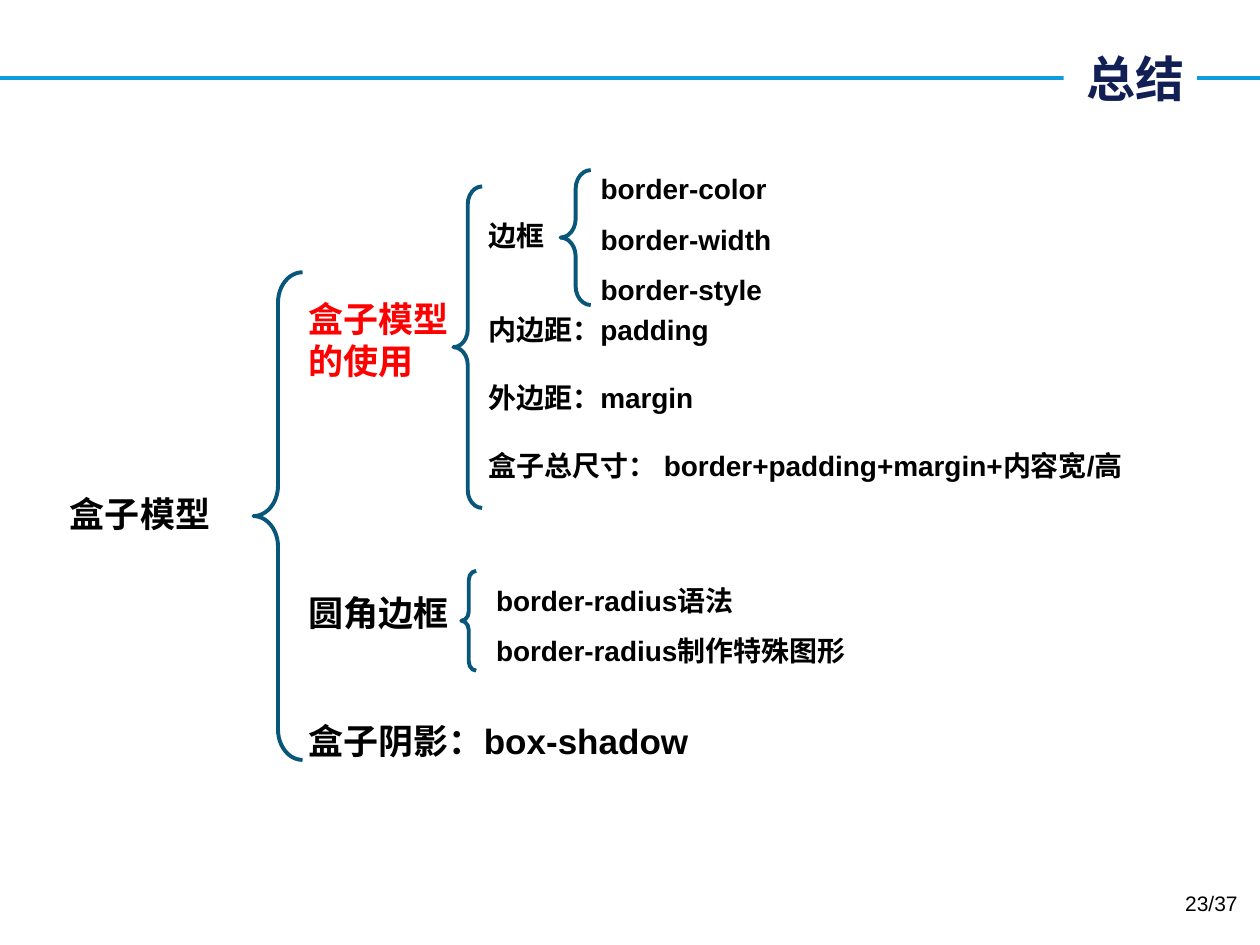
import dataclasses

import pptx
import pptx.dml.color
import pptx.enum.shapes
import pptx.enum.text
import pptx.oxml.ns
import pptx.util
from lxml import etree

Cm = pptx.util.Cm
Pt = pptx.util.Pt
RGBColor = pptx.dml.color.RGBColor
ALIGN = pptx.enum.text.PP_ALIGN

NAVY = RGBColor(0x12, 0x1F, 0x55)
SKY = RGBColor(0x0E, 0x9C, 0xDE)
TEAL = RGBColor(0x08, 0x57, 0x7A)
RED = RGBColor(0xFF, 0x00, 0x00)
BLACK = RGBColor(0x00, 0x00, 0x00)
WHITE = RGBColor(0xFF, 0xFF, 0xFF)

LATIN_FONT = "Arial"
TITLE_FONT = "Noto Sans CJK SC"
LINE_WIDTH = Pt(2.25)
BRACE_CURVE = 0.62


@dataclasses.dataclass(frozen=True)
class Box:
    """Position and size in centimetres."""
    left: float
    top: float
    width: float
    height: float


@dataclasses.dataclass(frozen=True)
class Entry:
    """One paragraph, with the space before it in points."""
    text: str
    gap: float = 0
    color: RGBColor = BLACK


@dataclasses.dataclass(frozen=True)
class Branch:
    """A block of entries on one level of the outline."""
    box: Box
    size: float
    entries: tuple[Entry, ...]
    spacing: float = 1.0
    align: ALIGN = ALIGN.LEFT
    bold: bool = True


BRACES = (
    Box(5.11, 5.49, 0.99, 9.83),
    Box(9.14, 3.76, 0.58, 6.48),
    Box(11.3, 3.43, 0.61, 2.72),
    Box(9.3, 11.51, 0.3, 2.01),
)

BRANCHES = (
    Branch(Box(0.3, 9.8, 5.05, 1.12), 20, (Entry("盒子模型"),), align=ALIGN.CENTER),
    Branch(Box(5.97, 5.87, 13.92, 9.65), 20, (
        Entry("盒子模型", color=RED),
        Entry("的使用", color=RED),
        Entry("圆角边框", gap=120),
        Entry("盒子阴影：box-shadow", gap=49),
    )),
    Branch(Box(9.6, 4.29, 13.9, 6.4), 16, (
        Entry("边框"),
        Entry("内边距：padding", gap=34.5),
        Entry("外边距：margin", gap=19.5),
        Entry("盒子总尺寸： border+padding+margin+内容宽/高", gap=19.5),
    )),
    Branch(Box(11.86, 3, 5.64, 3.33), 16, (
        Entry("border-color"),
        Entry("border-width"),
        Entry("border-style"),
    ), spacing=1.5),
    Branch(Box(9.75, 11.3, 8.15, 2.18), 16, (
        Entry("border-radius语法"),
        Entry("border-radius制作特殊图形"),
    ), spacing=1.5),
    Branch(Box(19.28, 17.83, 5.92, 1.02), 12, (Entry("23/37"),),
           align=ALIGN.RIGHT, bold=False),
)


def lengths(box: Box) -> tuple[int, ...]:
    """Return left, top, width and height as slide lengths."""
    return tuple(Cm(value) for value in dataclasses.astuple(box))


def format_runs(paragraph, face: str, size: float, color: RGBColor, bold: bool) -> None:
    """Format every run, with one face for Latin and East Asian text."""
    for run in paragraph.runs:
        run.font.name = face
        run.font.size = Pt(size)
        run.font.bold = bold
        run.font.color.rgb = color
        east_asian = etree.SubElement(run.font._element, pptx.oxml.ns.qn("a:ea"))
        east_asian.set("typeface", face)


def add_title(slide, text: str) -> None:
    """Place the title on a white patch over the header rule."""
    title = slide.shapes.title
    title.left, title.top, title.width, title.height = lengths(Box(21.44, 0.76, 2.69, 1.63))
    title.fill.solid()
    title.fill.fore_color.rgb = WHITE
    frame = title.text_frame
    frame.text = text
    frame.word_wrap = True
    frame.auto_size = pptx.enum.text.MSO_AUTO_SIZE.NONE
    frame.vertical_anchor = pptx.enum.text.MSO_ANCHOR.MIDDLE
    frame.paragraphs[0].alignment = ALIGN.RIGHT
    format_runs(frame.paragraphs[0], TITLE_FONT, 28, NAVY, True)


def add_header_rule(slide) -> None:
    """Draw the full-width rule behind the title."""
    rule = slide.shapes.add_connector(
        pptx.enum.shapes.MSO_CONNECTOR.STRAIGHT, Cm(0), Cm(1.58), Cm(25.4), Cm(1.58))
    rule.line.color.rgb = SKY
    rule.line.width = LINE_WIDTH
    etree.SubElement(rule.element.spPr, pptx.oxml.ns.qn("a:effectLst"))
    slide.shapes.title.element.addprevious(rule.element)


def add_brace(slide, box: Box) -> None:
    """Draw an unfilled left brace."""
    brace = slide.shapes.add_shape(pptx.enum.shapes.MSO_SHAPE.LEFT_BRACE, *lengths(box))
    brace.adjustments[0] = BRACE_CURVE
    brace.fill.background()
    brace.line.color.rgb = TEAL
    brace.line.width = LINE_WIDTH
    brace.shadow.inherit = False


def add_branch(slide, branch: Branch) -> None:
    """Write the entries of a branch in one text box."""
    frame = slide.shapes.add_textbox(*lengths(branch.box)).text_frame
    frame.word_wrap = True
    frame.text = "\n".join(entry.text for entry in branch.entries)
    for paragraph, entry in zip(frame.paragraphs, branch.entries):
        paragraph.alignment = branch.align
        paragraph.line_spacing = branch.spacing
        paragraph.space_before = Pt(entry.gap)
        format_runs(paragraph, LATIN_FONT, branch.size, entry.color, branch.bold)


def main() -> None:
    """Build the summary slide."""
    deck = pptx.Presentation()
    deck.slide_width, deck.slide_height = Cm(25.4), Cm(19.05)
    slide = deck.slides.add_slide(deck.slide_layouts.get_by_name("Title Only"))
    add_title(slide, "总结")
    add_header_rule(slide)
    for box in BRACES:
        add_brace(slide, box)
    for branch in BRANCHES:
        add_branch(slide, branch)
    deck.save("out.pptx")


main()
